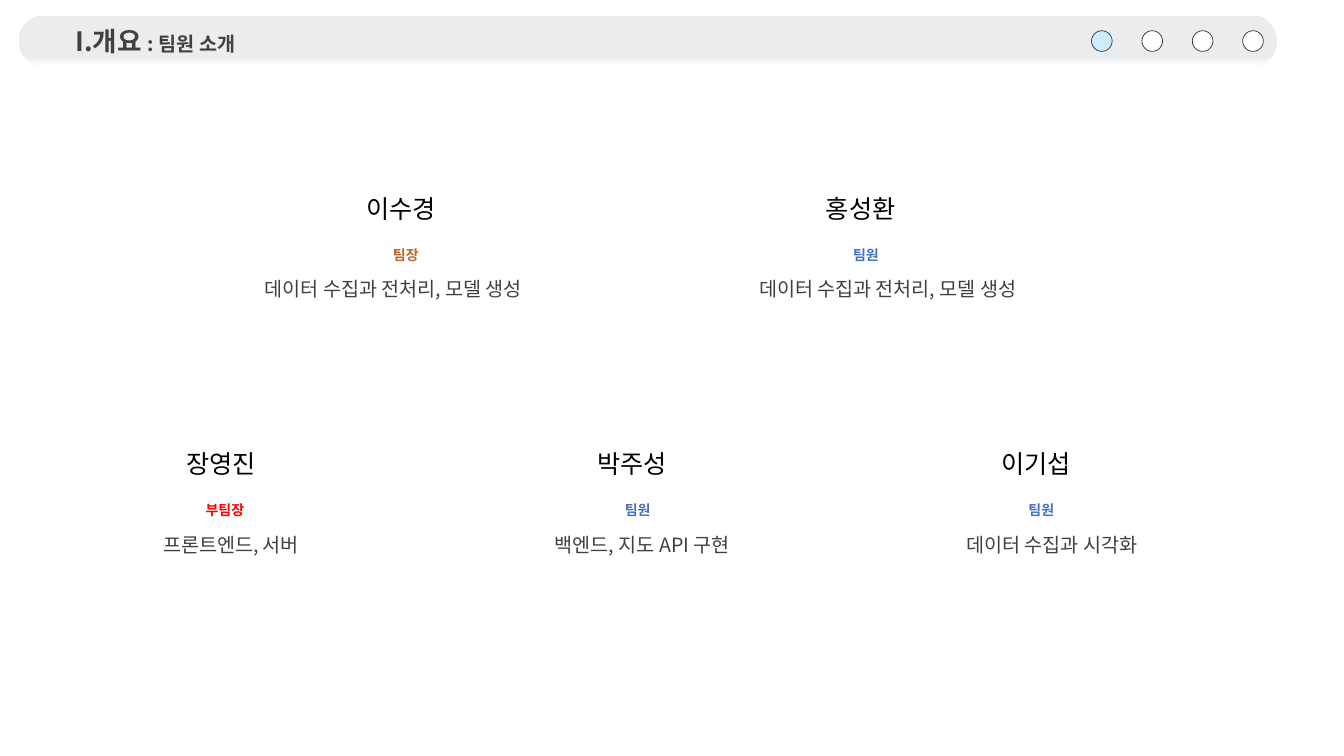
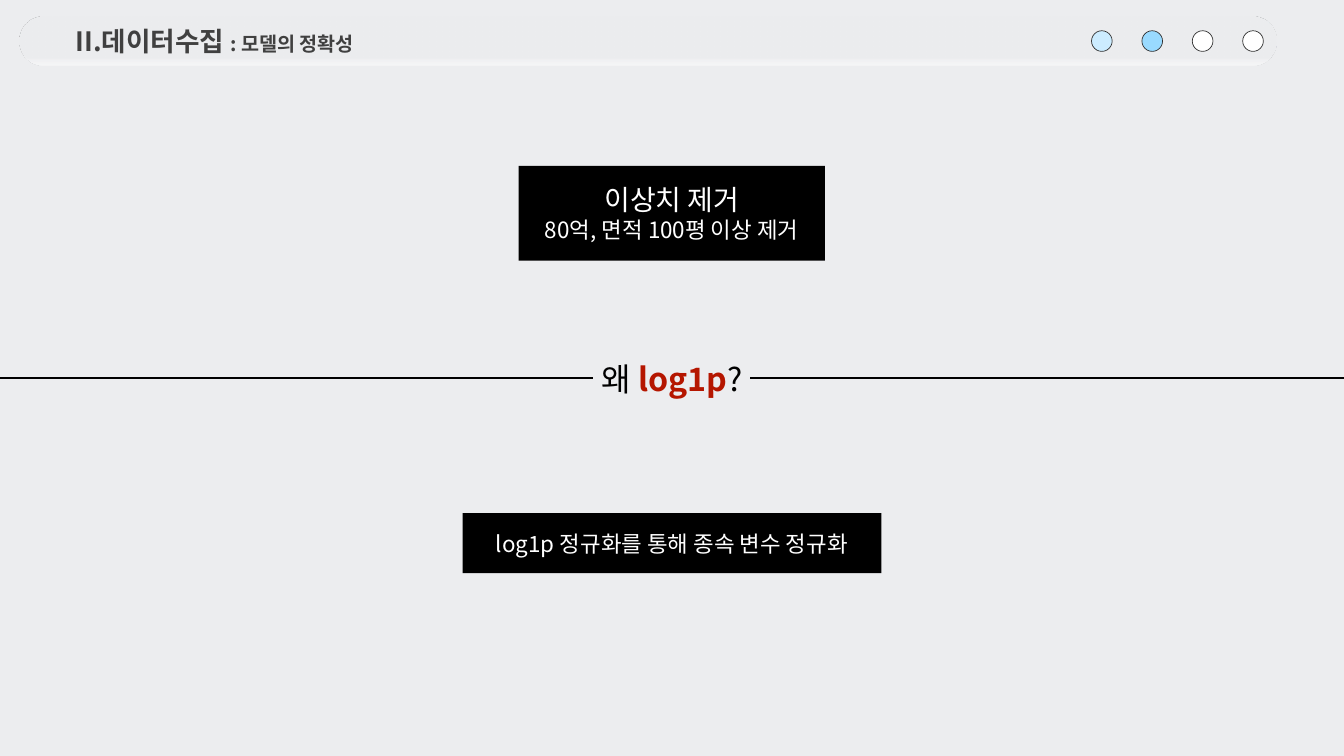
from dataclasses import dataclass

from lxml import etree
from pptx import Presentation
from pptx.dml.color import RGBColor
from pptx.enum.shapes import MSO_CONNECTOR, MSO_SHAPE
from pptx.enum.text import MSO_ANCHOR, MSO_AUTO_SIZE, PP_ALIGN
from pptx.oxml.ns import qn
from pptx.util import Inches, Pt

ROUNDED, RECTANGLE, OVAL = MSO_SHAPE.ROUNDED_RECTANGLE, MSO_SHAPE.RECTANGLE, MSO_SHAPE.OVAL
STRAIGHT = MSO_CONNECTOR.STRAIGHT
TOP, MIDDLE = MSO_ANCHOR.TOP, MSO_ANCHOR.MIDDLE
LEFT, CENTER = PP_ALIGN.LEFT, PP_ALIGN.CENTER
GROW = MSO_AUTO_SIZE.SHAPE_TO_FIT_TEXT


@dataclass(frozen=True)
class Theme:
    font: str = "Noto Sans CJK KR"
    white: str = "FFFFFF"
    black: str = "000000"
    gray: str = "ECEDEF"
    text: str = "404040"
    dot_line: str = "2F2F2F"
    steps: tuple = ("CCECFF", "99DAFF")
    leader: str = "BE6427"
    deputy: str = "FF0000"
    member: str = "4472C4"
    accent: str = "B51600"
    section_size: int = 38
    topic_size: int = 28
    name_size: int = 36
    role_size: int = 20
    task_size: int = 28
    headline_size: int = 40
    detail_size: int = 32
    question_size: int = 46


THEME = Theme()
WIDTH, HEIGHT = 26.67, 15
HEADER_BOX = (0.38, 0.33, 24.94, 0.97)
DOT_COUNT, DOT_SIZE, DOT_STEP = 4, 0.41, 1.0

# role: colour, left relative to the name, width
ROLES = {
    "팀장": (THEME.leader, 0.53, 0.9),
    "부팀장": (THEME.deputy, 0.38, 1.06),
    "팀원": (THEME.member, 0.54, 0.9),
}
# name, role, task, card left, card top, task left relative to the card, task alignment
TEAM = [
    ("이수경", "팀장", "데이터 수집과 전처리, 모델 생성", 7.17, 3.73, -2.01, LEFT),
    ("홍성환", "팀원", "데이터 수집과 전처리, 모델 생성", 16.29, 3.73, -2.38, CENTER),
    ("장영진", "부팀장", "프론트엔드, 서버", 3.6, 8.8, -2.72, CENTER),
    ("박주성", "팀원", "백엔드, 지도 API 구현", 11.76, 8.8, -2.72, CENTER),
    ("이기섭", "팀원", "데이터 수집과 시각화", 19.77, 8.8, -2.6, CENTER),
]


def rgb(value):
    return RGBColor.from_string(value)


def inches(box):
    return [Inches(length) for length in box]


def style_run(run, size, color, bold=False):
    run.font.size = Pt(size)
    run.font.bold = bold
    run.font.color.rgb = rgb(color)
    run.font.name = THEME.font
    east_asian = etree.SubElement(run.font._element, qn("a:ea"))
    east_asian.set("typeface", THEME.font)


def write(shape, lines, align=LEFT, anchor=TOP, inset=0.1, wrap=True):
    """Fill a shape with lines, each a list of (text, size, colour, bold) runs."""
    frame = shape.text_frame
    frame.word_wrap = wrap
    frame.vertical_anchor = anchor
    frame.margin_left = frame.margin_right = Inches(inset)
    frame.margin_top = frame.margin_bottom = Inches(inset)
    for index, line in enumerate(lines):
        paragraph = frame.add_paragraph() if index else frame.paragraphs[0]
        paragraph.alignment = align
        for text, *style in line:
            run = paragraph.add_run()
            run.text = text
            style_run(run, *style)
    return frame


def add_text(slide, box, lines, **layout):
    return write(slide.shapes.add_textbox(*inches(box)), lines, **layout)


def add_solid(slide, preset, box, color):
    shape = slide.shapes.add_shape(preset, *inches(box))
    shape.shadow.inherit = False
    shape.fill.solid()
    shape.fill.fore_color.rgb = rgb(color)
    shape.line.fill.background()
    return shape


def add_band(slide, box):
    """Rounded band that fades to half-transparent white at its lower edge."""
    band = add_solid(slide, ROUNDED, box, THEME.gray)
    band.adjustments[0] = 0.5
    band.fill.gradient()
    band.fill.gradient_angle = 90
    stops = band.fill.gradient_stops
    for stop, color, position in zip(stops, (THEME.white, THEME.gray), (0, 0.17)):
        stop.color.rgb = rgb(color)
        stop.position = position
    white = band._element.spPr.find(".//" + qn("a:srgbClr"))
    etree.SubElement(white, qn("a:alpha")).set("val", "50000")


def add_progress(slide, left, top, reached):
    for step in range(DOT_COUNT):
        color = THEME.steps[step] if step < reached else THEME.white
        dot = add_solid(slide, OVAL, (left + step * DOT_STEP, top, DOT_SIZE, DOT_SIZE), color)
        dot.line.color.rgb = rgb(THEME.dot_line)
        dot.line.width = Pt(1)


def add_header(slide, box, section, topic, reached):
    left, top, width, height = box
    add_band(slide, box)
    title = add_text(
        slide, (left + 0.24, top + 0.06, width - 0.49, height - 0.13),
        [[(section + " ", THEME.section_size, THEME.text, True),
          (": " + topic, THEME.topic_size, THEME.text, True)]],
        anchor=MIDDLE)
    title.auto_size = GROW
    title.paragraphs[0]._p.get_or_add_pPr().set("indent", str(Inches(0.78)))
    add_progress(slide, left + 21.28, top + 0.28, reached)


def add_member(slide, name, role, task, left, top, task_left, task_align):
    role_color, role_left, role_width = ROLES[role]
    add_text(slide, (left, top, 1.97, 1.13), [[(name, THEME.name_size, THEME.black)]])
    add_text(slide, (left + task_left, top + 1.54, 7.41, 0.92),
             [[(task, THEME.task_size, THEME.text)]], align=task_align, anchor=MIDDLE)
    add_text(slide, (left + role_left, top + 1.06, role_width, 0.75),
             [[(role, THEME.role_size, role_color, True)]])


def add_statement(slide, box, lines):
    panel = add_solid(slide, RECTANGLE, box, THEME.black)
    write(panel, [[(text, size, THEME.white)] for text, size in lines],
          align=CENTER, anchor=MIDDLE, inset=0.06)


def add_rule(slide, start, end, y):
    rule = slide.shapes.add_connector(STRAIGHT, *inches((start, y, end, y)))
    rule.line.color.rgb = rgb(THEME.black)
    rule.line.width = Pt(4)
    etree.SubElement(rule._element.spPr, qn("a:effectLst"))


def add_question(slide, box):
    """Centred question between two rules that run to the slide edges."""
    left, top, width, height = box
    add_rule(slide, 0, left - 0.1, HEIGHT / 2)
    add_rule(slide, left + width + 0.09, WIDTH, HEIGHT / 2)
    question = add_text(
        slide, box,
        [[("왜 ", THEME.question_size, THEME.black),
          ("log1p", THEME.question_size, THEME.accent, True),
          ("?", THEME.question_size, THEME.black)]],
        align=CENTER, anchor=MIDDLE, inset=0.06, wrap=False)
    question.auto_size = GROW


def new_slide(deck, background, section, topic, reached):
    slide = deck.slides.add_slide(deck.slide_layouts[6])
    slide.background.fill.solid()
    slide.background.fill.fore_color.rgb = rgb(background)
    add_header(slide, HEADER_BOX, section, topic, reached)
    return slide


def build_team_slide(deck):
    slide = new_slide(deck, THEME.white, "I.개요", "팀원 소개", 1)
    for member in TEAM:
        add_member(slide, *member)


def build_accuracy_slide(deck):
    slide = new_slide(deck, THEME.gray, "II.데이터수집", "모델의 정확성", 2)
    add_statement(slide, (10.29, 3.29, 6.08, 1.88),
                  [("이상치 제거", THEME.headline_size),
                   ("80억, 면적 100평 이상 제거", THEME.detail_size)])
    add_statement(slide, (9.18, 10.18, 8.31, 1.19),
                  [("log1p 정규화를 통해 종속 변수 정규화", THEME.detail_size)])
    add_question(slide, (11.87, 6.99, 2.93, 1.03))


def main():
    deck = Presentation()
    deck.slide_width, deck.slide_height = Inches(WIDTH), Inches(HEIGHT)
    build_team_slide(deck)
    build_accuracy_slide(deck)
    deck.save("out.pptx")


if __name__ == "__main__":
    main()
